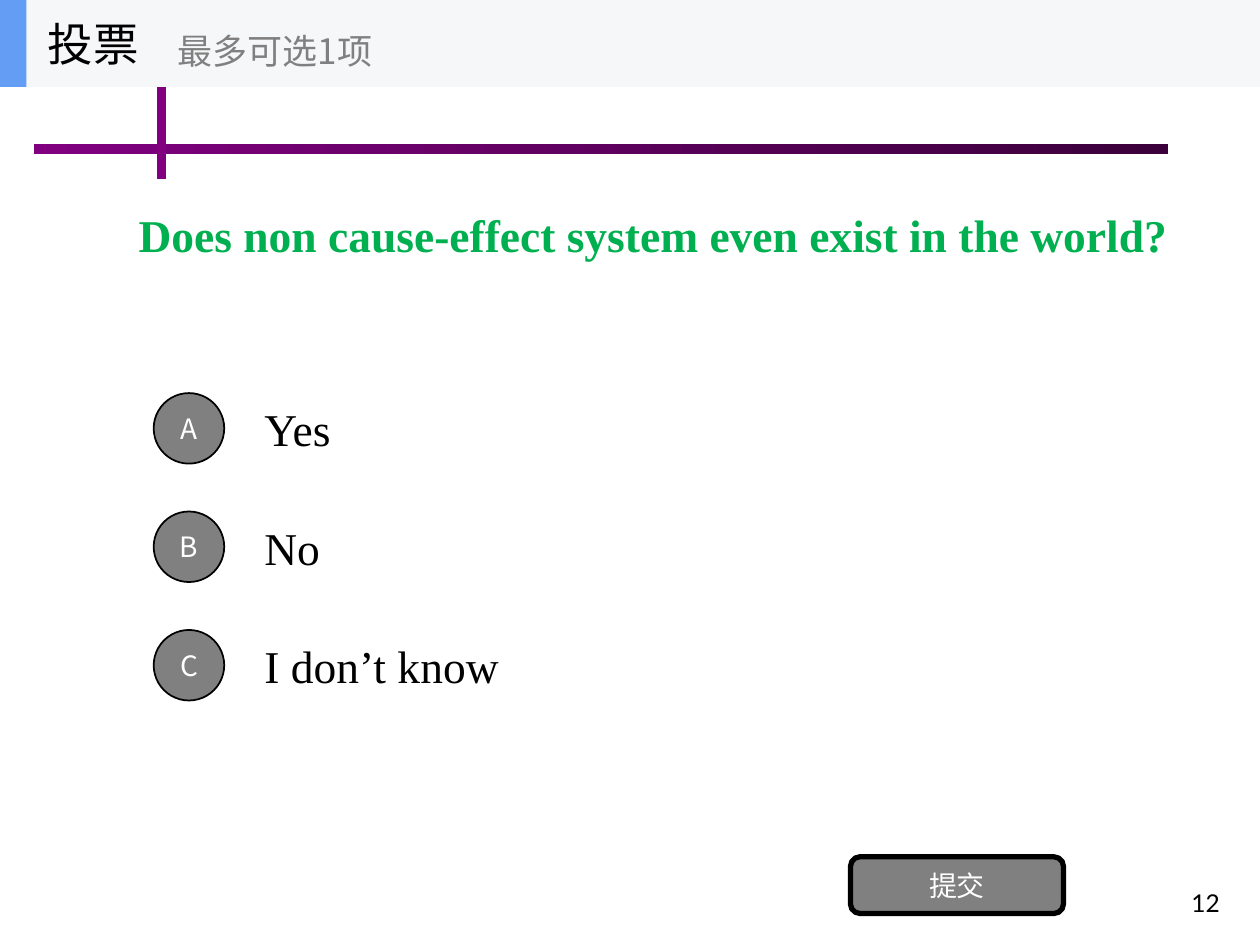
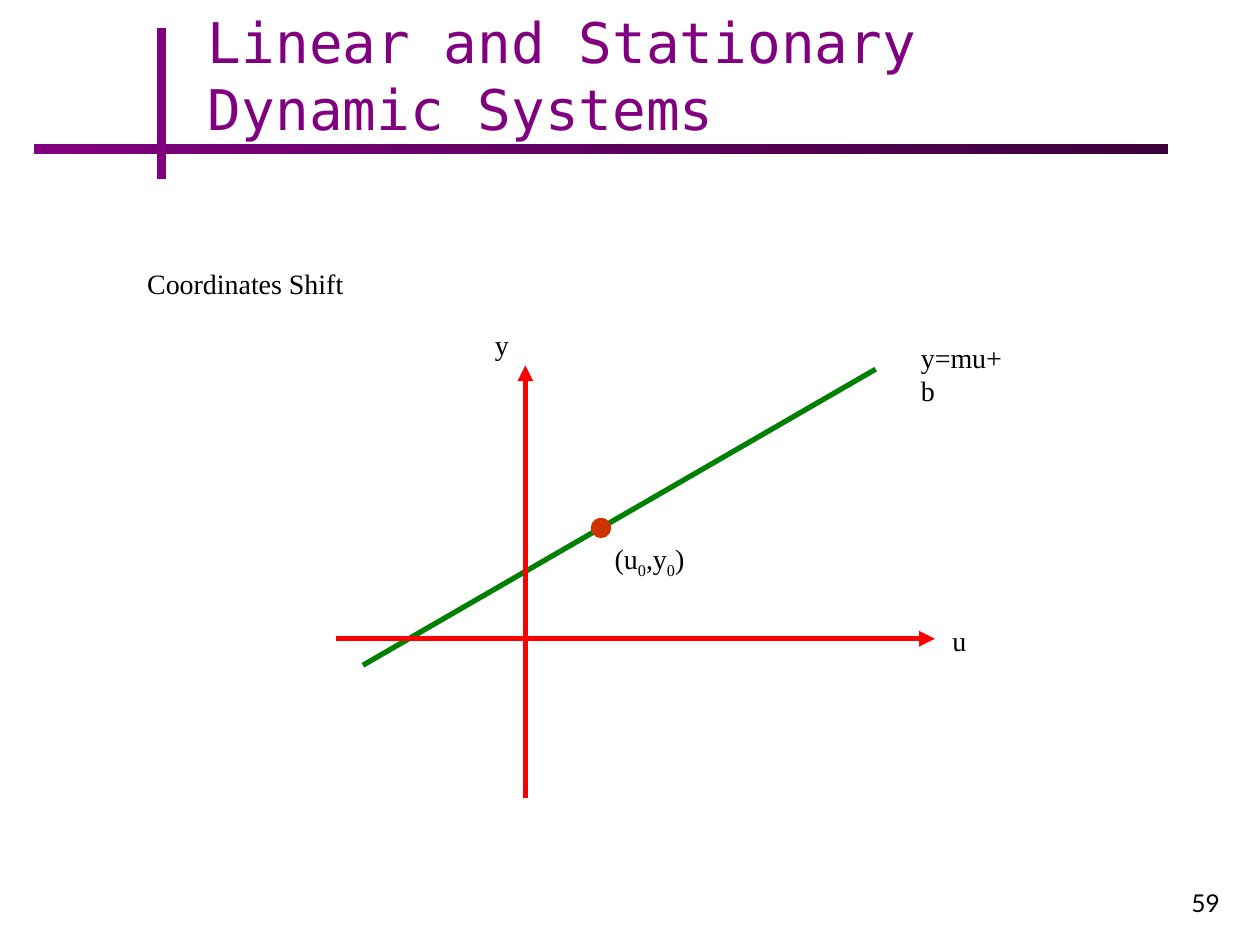
from pptx import Presentation
from pptx.dml.color import RGBColor
from pptx.enum.shapes import MSO_CONNECTOR, MSO_SHAPE
from pptx.enum.text import MSO_ANCHOR, MSO_AUTO_SIZE, PP_ALIGN
from pptx.oxml.ns import qn
from pptx.util import Inches, Pt
from lxml.etree import SubElement

COLORS = {
    "purple": "800080", "dark_purple": "3B003B", "question": "00B050",
    "black": "000000", "white": "FFFFFF", "gray": "808080",
    "header": "F6F7F8", "accent": "639EF4",
    "axis": "FF0000", "line": "008000", "point": "CC3300",
}
SERIF, CJK, MONO, NUMBER = "Times New Roman", "Noto Sans CJK SC", "DejaVu Sans Mono", "Lato"


def rgb(name):
    return RGBColor.from_string(COLORS[name])


def inches(box):
    return [Inches(v) for v in box]


def style(p, size, font, color="black", bold=False, align=PP_ALIGN.LEFT):
    p.alignment = align
    p.font.size, p.font.name, p.font.bold = Pt(size), font, bold
    p.font.color.rgb = rgb(color)
    if font == CJK:
        for r in p.runs:
            r.font.name = font
            SubElement(r.font._element, qn("a:ea"), typeface=font)


def add_text(s, text, box, size, font=SERIF, color="black", anchor=MSO_ANCHOR.TOP,
             align=PP_ALIGN.LEFT, wrap=False):
    tf = s.shapes.add_textbox(*inches(box)).text_frame
    tf.word_wrap, tf.vertical_anchor = wrap, anchor
    p = tf.paragraphs[0]
    p.text = text
    style(p, size, font, color, align=align)
    return p


def add_shape(s, kind, box, fill, line=None, width=1, text=None):
    sp = s.shapes.add_shape(kind, *inches(box))
    sp.shadow.inherit = False
    sp.fill.solid()
    sp.fill.fore_color.rgb = rgb(fill)
    if line:
        sp.line.color.rgb = rgb(line)
        sp.line.width = Pt(width)
    else:
        sp.line.fill.background()
    if text:
        tf = sp.text_frame
        tf.word_wrap, tf.vertical_anchor = False, MSO_ANCHOR.MIDDLE
        p = tf.paragraphs[0]
        p.text = text
        style(p, 16, CJK, "white", align=PP_ALIGN.CENTER)
    return sp


def add_line(s, start, end, color, width=3, arrow=False):
    c = s.shapes.add_connector(MSO_CONNECTOR.STRAIGHT, *inches(start + end))
    c.line.color.rgb = rgb(color)
    c.line.width = Pt(width)
    if arrow:
        SubElement(c.line._get_or_add_ln(), qn("a:tailEnd"), type="triangle")
    SubElement(c._element.spPr, qn("a:effectLst"))


def set_title(s, text, box, size, font, color, bold=False):
    title = s.shapes.title
    title.left, title.top, title.width, title.height = inches(box)
    tf = title.text_frame
    tf.text = text
    tf.word_wrap, tf.auto_size = True, MSO_AUTO_SIZE.NONE
    tf.vertical_anchor = MSO_ANCHOR.MIDDLE
    style(tf.paragraphs[0], size, font, color, bold)
    return tf


def new_slide(prs, number):
    """Add a slide with the crossed purple bars and its number."""
    s = prs.slides.add_slide(prs.slide_layouts[5])
    bar = add_shape(s, MSO_SHAPE.RECTANGLE, (0.27, 1.14, 9, 0.08), "purple")
    bar.fill.gradient()
    bar.fill.gradient_angle = 0
    for stop, color, position in zip(bar.fill.gradient_stops, ("purple", "dark_purple"), (0, 1)):
        stop.color.rgb = rgb(color)
        stop.position = position
    add_line(s, (1.28, 0.22), (1.28, 1.42), "purple", 5)
    add_text(s, str(number), (7.7, 6.83, 2.08, 0.5), 14, NUMBER,
             anchor=MSO_ANCHOR.BOTTOM, align=PP_ALIGN.RIGHT, wrap=True)
    return s


def add_poll_header(s):
    add_shape(s, MSO_SHAPE.RECTANGLE, (0, 0, 10, 0.69), "header")
    add_shape(s, MSO_SHAPE.RECTANGLE, (0, 0, 0.21, 0.69), "accent")
    add_text(s, "投票", (0.28, 0, 2.08, 0.69), 26, CJK, anchor=MSO_ANCHOR.MIDDLE)
    add_text(s, "最多可选1项", (1.31, 0.12, 2.5, 0.56), 20, CJK, "gray", MSO_ANCHOR.MIDDLE)


def add_poll_slide(prs):
    s = new_slide(prs, 12)
    set_title(s, "Does non cause-effect system even exist in the world?",
              (1, 0.69, 8.64, 2.34), 26, SERIF, "question", bold=True)
    for i, (letter, answer) in enumerate(zip("ABC", ("Yes", "No", "I don’t know"))):
        top = 3.05 + i * 0.94
        add_text(s, answer, (2, top, 7, 0.7), 26, anchor=MSO_ANCHOR.MIDDLE, wrap=True)
        add_shape(s, MSO_SHAPE.OVAL, (1.22, top + 0.07, 0.56, 0.56), "gray", "black", text=letter)
    add_shape(s, MSO_SHAPE.ROUNDED_RECTANGLE, (6.75, 6.8, 1.69, 0.45), "gray", "black", 3, "提交")
    add_poll_header(s)


def add_shift_slide(prs):
    s = new_slide(prs, 59)
    tf = set_title(s, "Linear and Stationary Dynamic Systems",
                   (1.45, 0.13, 6.98, 0.92), 32, MONO, "purple")
    tf.margin_left = Inches(0.2)

    add_line(s, (2.88, 5.28), (6.95, 2.93), "line")
    add_shape(s, MSO_SHAPE.OVAL, (4.71, 4.13, 0.12, 0.12), "point", "point", 3)
    add_line(s, (2.67, 5.07), (7.42, 5.07), "axis", arrow=True)
    add_line(s, (4.17, 6.33), (4.17, 2.9), "axis", arrow=True)

    for text, box in (
        ("y", (3.83, 2.55, 0.31, 0.37)),
        ("u", (7.46, 4.9, 0.31, 0.37)),
        ("y=mu+b", (7.21, 2.65, 0.95, 0.37)),
        ("Coordinates Shift", (1.07, 2.07, 1.76, 0.37)),
    ):
        add_text(s, text, box, 16)
    p = add_text(s, "(u", (4.78, 4.25, 0.75, 0.41), 16)
    for text, is_subscript in (("0", True), (",y", False), ("0", True), (")", False)):
        r = p.add_run()
        r.text = text
        if is_subscript:
            r.font._element.set("baseline", "-25000")


def main():
    prs = Presentation()
    prs.slide_width, prs.slide_height = Inches(10), Inches(7.5)
    add_poll_slide(prs)
    add_shift_slide(prs)
    prs.save("out.pptx")


if __name__ == "__main__":
    main()
